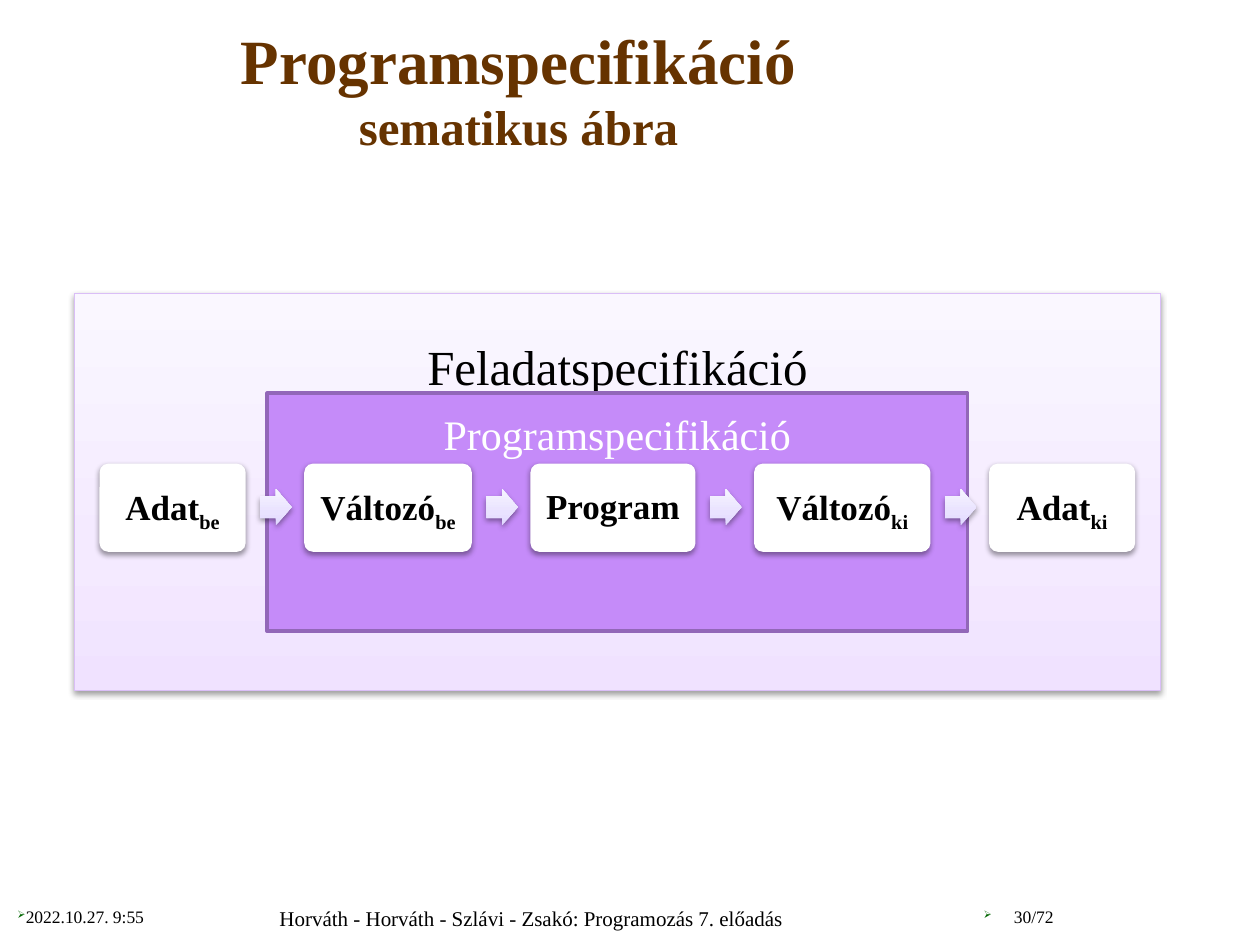
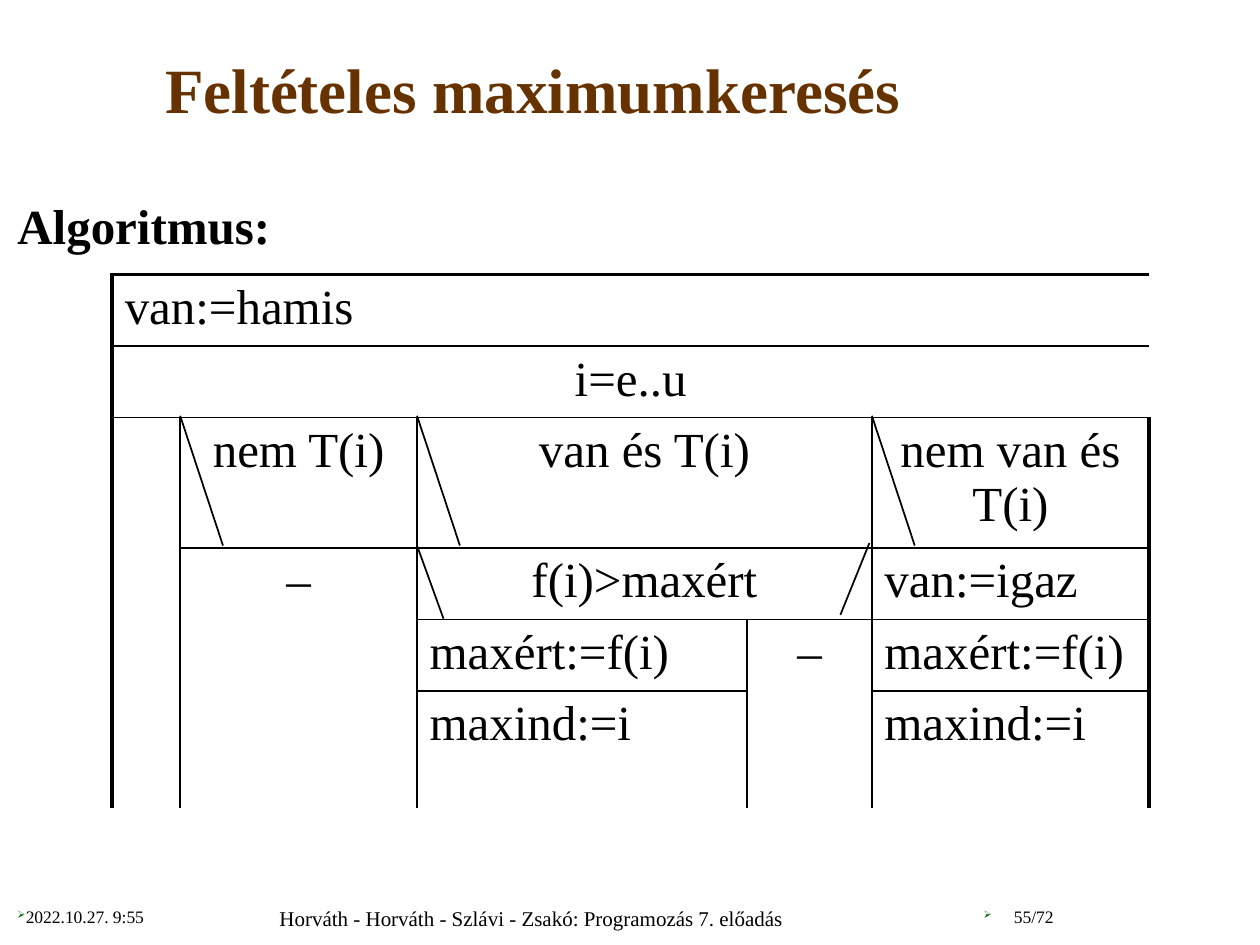
from copy import deepcopy
from dataclasses import dataclass

from lxml.etree import SubElement as Sub
from pptx import Presentation
from pptx.dml.color import RGBColor as Rgb
from pptx.enum.shapes import MSO_CONNECTOR as Wire, MSO_SHAPE as Form
from pptx.enum.text import MSO_ANCHOR as Anchor, PP_ALIGN as Align
from pptx.oxml.ns import qn
from pptx.util import Inches, Pt


@dataclass(frozen=True)
class Theme:
    font: str = "Times New Roman"
    ink: str = "000000"
    white: str = "FFFFFF"
    brown: str = "663300"
    green: str = "006600"
    frame: str = "DABEF7"
    violet: str = "C58BF9"
    edge: str = "9267B8"
    pale: tuple = ("F0E2FF", "F4EAFF", "FAF7FF")
    lilac: tuple = ("E0D7FF", "E9E2FF", "F6F4FF")
    title: int = 36
    large: int = 28
    mid: int = 24
    card: int = 20
    foot: int = 12
    small: int = 10
    thin: float = 1
    thick: float = 2.25


T = Theme()
UNIT = Inches(0.1)  # the slide is a grid of 100 columns by 75 rows


def at(*cells):
    return [round(cell * UNIT) for cell in cells]


def write(box, runs, color=T.ink, bold=False, align=Align.LEFT,
          anchor=Anchor.TOP, top=0.5):
    """Fill one paragraph; a run is (text, size) or (text, size, baseline)."""
    frame = box.text_frame
    frame.word_wrap = True
    frame.vertical_anchor = anchor
    frame.margin_top, = at(top)
    para = frame.paragraphs[0]
    para.alignment = align
    for text, size, *base in runs:
        if text == "\n":
            para.add_line_break()
            continue
        run = para.add_run()
        run.text = text
        run.font.name, run.font.size, run.font.bold = T.font, Pt(size), bold
        run.font.color.rgb = Rgb.from_string(color)
        if base:
            run.font._element.set("baseline", str(base[0] * 1000))
    return para


deck = Presentation()
deck.slide_width, deck.slide_height = at(100, 75)

# Titles and footers
heads = [
    (82.3, [("Programspecifikáció", T.title), ("\n", T.title),
            ("sematikus ábra", T.large)], "30/72"),
    (84.6, [("Feltételes maximumkeresés", T.title)], "55/72"),
]
pages = []
for width, title, number in heads:
    page = deck.slides.add_slide(deck.slide_layouts[6])
    pages.append(page)
    add = page.shapes.add_textbox
    write(add(*at(0, 0.9, width, 12.2)), title, T.brown, True,
          Align.CENTER, Anchor.MIDDLE)
    write(add(*at(21.2, 71.4, 49.3, 3.6)),
          [("Horváth - Horváth - Szlávi - Zsakó: Programozás 7. előadás",
            T.foot)])
    for left, wide, text, side, hang in [
            (0.4, 20.8, "2022.10.27. 9:55", Align.LEFT, 0),
            (71.9, 12.7, number, Align.RIGHT, 2.4)]:
        para = write(add(*at(left, 71.4, wide, 3.9)), [(text, T.small)],
                     align=side)
        props = para._p.get_or_add_pPr()
        indent, = at(hang)
        props.set("marL", str(indent))
        props.set("indent", str(-indent))
        Sub(Sub(props, qn("a:buClr")), qn("a:srgbClr"), val=T.green)
        Sub(props, qn("a:buSzPct"), val="60000")
        Sub(props, qn("a:buFont"), typeface="Wingdings")
        Sub(props, qn("a:buChar"), char="Ø")

# Slide 1: nested panels
scheme, chart = pages
add = scheme.shapes.add_shape
outer = add(Form.RECTANGLE, *at(5.9, 23.3, 86.2, 31.5))
write(outer, [("Feladatspecifikáció", T.large)], align=Align.CENTER, top=3.4)
inner = add(Form.RECTANGLE, *at(21.2, 31.2, 55.6, 18.9))
write(inner, [("Programspecifikáció", T.mid)], T.white,
      align=Align.CENTER, top=1.2)
# shape, fill, line colour, line width, shadow
parts = [(outer, T.pale, T.frame, 0.75, True),
         (inner, T.violet, T.edge, 2, False)]

# Slide 1: data flow, equal gaps between the cards
cards = [("Adat", "be", 11.6), ("Változó", "be", 13.3), ("Program", "", 13.1),
         ("Változó", "ki", 14), ("Adat", "ki", 11.6)]
left, span = 7.9, 82.2
gap = (span - sum(card[2] for card in cards)) / (len(cards) - 1)
for place, (name, sub, width) in enumerate(cards):
    if place:
        arrow = add(Form.RIGHT_ARROW, *at(left - gap + 1.15, 38.8, 2.5, 2.9))
        arrow.adjustments[0], arrow.adjustments[1] = 0.6, 0.5
        parts.append((arrow, T.lilac, None, 0, True))
    card = add(Form.ROUNDED_RECTANGLE, *at(left, 36.8, width, 7))
    card.adjustments[0] = 0.1
    runs = [(name, T.card)] + ([(sub, T.card, -25)] if sub else [])
    para = write(card, runs, bold=True, align=Align.CENTER,
                 anchor=Anchor.MIDDLE)
    para.line_spacing = 0.9
    card.text_frame.margin_left = card.text_frame.margin_right = at(0.5)[0]
    parts.append((card, T.white, None, 0, True))
    left += width + gap

# Slide 1: fills, lines and shadows
for shape, paint, line, weight, shade in parts:
    fill = shape.fill
    if isinstance(paint, tuple):
        fill.gradient()
        fill.gradient_angle = 90
        stops = shape._element.spPr.find(".//" + qn("a:gsLst"))
        stops.insert(1, deepcopy(stops[0]))
        for stop, spot, color in zip(fill.gradient_stops, (0, 0.35, 1), paint):
            stop.position = spot
            stop.color.rgb = Rgb.from_string(color)
    else:
        fill.solid()
        fill.fore_color.rgb = Rgb.from_string(paint)
    if line:
        shape.line.color.rgb = Rgb.from_string(line)
        shape.line.width = Pt(weight)
    else:
        shape.line.fill.background()
    shape.shadow.inherit = False
    if shade:
        blur = Sub(shape._element.spPr.find(qn("a:effectLst")),
                   qn("a:outerShdw"), blurRad="40000", dist="20000",
                   dir="5400000", rotWithShape="0")
        tint = Sub(blur, qn("a:srgbClr"), val=T.ink)
        Sub(tint, qn("a:alpha"), val="38000")

# Slide 2: heading
write(chart.shapes.add_textbox(*at(0.4, 14.7, 97.7, 6)),
      [("Algoritmus:", T.large)], bold=True, top=0.8)

# Slide 2: structure chart as a table
cols = [5.4, 18.8, 26.2, 9.9, 22]
rows = [5.3, 5.3, 9.6, 5.3, 5.3, 5.3, 4]
west, north = 8.9, 21.8
table = chart.shapes.add_table(
    len(rows), len(cols), *at(west, north, sum(cols), sum(rows))).table
table.first_row = table.horz_banding = False
table._tbl.tblPr.find(qn("a:tableStyleId")).text = (
    "{2D5ABB26-0587-4C30-8999-92F81FD0307C}")  # no style, no grid
for col, size in zip(table.columns, cols):
    col.width, = at(size)
for row, size in zip(table.rows, rows):
    row.height, = at(size)

# row, column, rows, columns, text, alignment, edges left undrawn
MID, LEFT = Align.CENTER, Align.LEFT
blocks = [
    (0, 0, 1, 5, "van:=hamis", LEFT, ""),
    (1, 0, 1, 5, "i=e..u", MID, "B"),
    (2, 0, 5, 1, "", LEFT, "T"),
    (2, 1, 1, 1, "nem T(i)", MID, ""),
    (2, 2, 1, 2, "van és T(i)", MID, ""),
    (2, 4, 1, 1, "nem van és T(i)", MID, ""),
    (3, 1, 4, 1, "–", MID, ""),
    (3, 2, 1, 2, "f(i)>maxért", MID, ""),
    (3, 4, 1, 1, "van:=igaz", LEFT, ""),
    (4, 2, 1, 1, "maxért:=f(i)", LEFT, ""),
    (4, 3, 3, 1, "–", MID, ""),
    (4, 4, 1, 1, "maxért:=f(i)", LEFT, ""),
    (5, 2, 2, 1, "maxind:=i", LEFT, ""),
    (5, 4, 2, 1, "maxind:=i", LEFT, ""),
]
for top, left, high, wide, text, align, bare in blocks:
    low, right = top + high - 1, left + wide - 1
    first = table.cell(top, left)
    if high * wide > 1:
        first.merge(table.cell(low, right))
    if text:
        write(first, [(text, T.large)], align=align)
    for r in range(top, low + 1):
        for c in range(left, right + 1):
            cell = table.cell(r, c)
            props = cell._tc.get_or_add_tcPr()
            # side, on the block's edge, on the table's edge
            for side, drawn, rim in [
                    ("L", c == left, c == 0),
                    ("R", c == right, c == len(cols) - 1),
                    ("T", r == top, r == 0),
                    ("B", r == low, r == len(rows) - 1)]:
                if drawn and side not in bare:
                    weight = Pt(T.thick if rim else T.thin)
                    line = Sub(props, qn("a:ln" + side), w=str(weight))
                    Sub(Sub(line, qn("a:solidFill")), qn("a:srgbClr"),
                        val=T.ink)
            cell.fill.background()

# Slide 2: slanted branch marks at the column edges
edges = [west + sum(cols[:n]) for n in range(len(cols))]
marks = [(edges[n], 33, 3.4, 10.3) for n in (1, 2, 4)]
marks += [(edges[2], 43.3, 2.1, 5.8), (edges[4] - 0.2, 43.1, -2.3, 5.7)]
for x, y, run, drop in marks:
    mark = chart.shapes.add_connector(
        Wire.STRAIGHT, *at(x, y, x + run, y + drop))
    mark.line.color.rgb = Rgb.from_string(T.ink)
    mark.line.width = Pt(T.thin)
    Sub(mark._element.spPr, qn("a:effectLst"))

deck.save("out.pptx")
